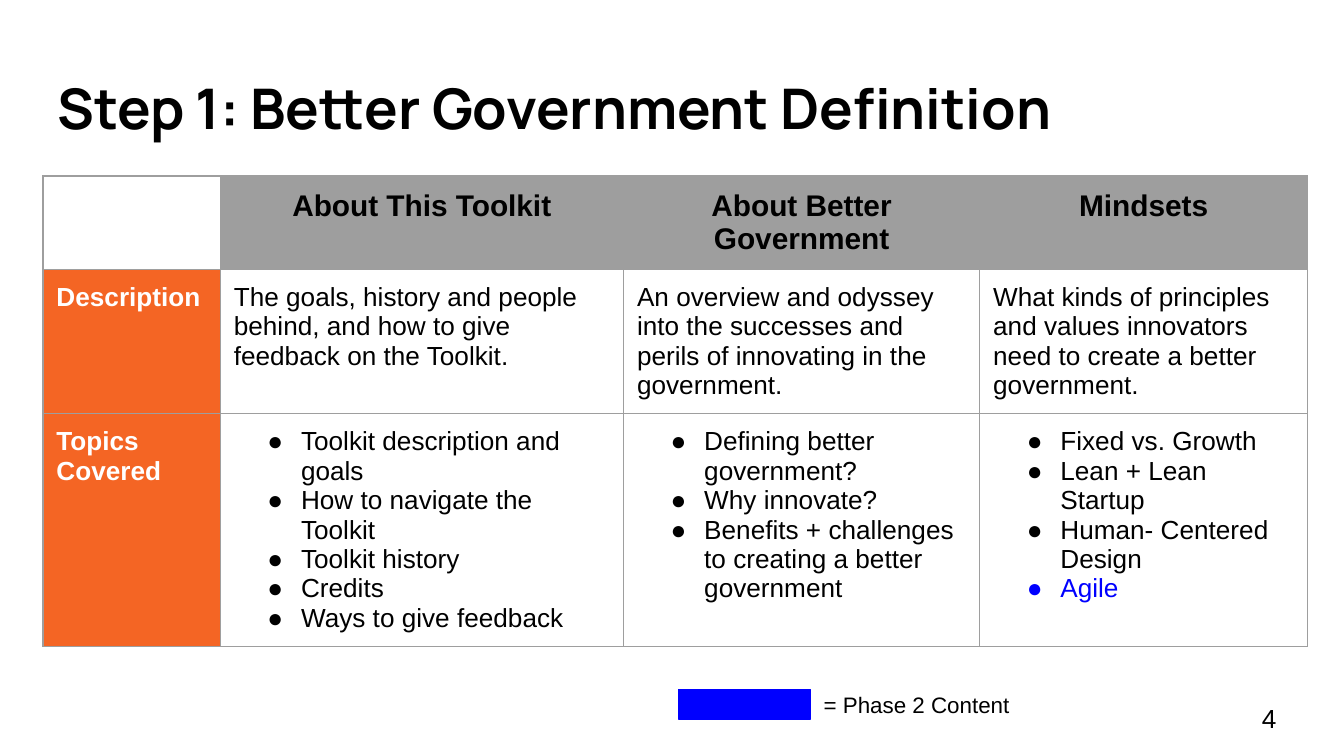
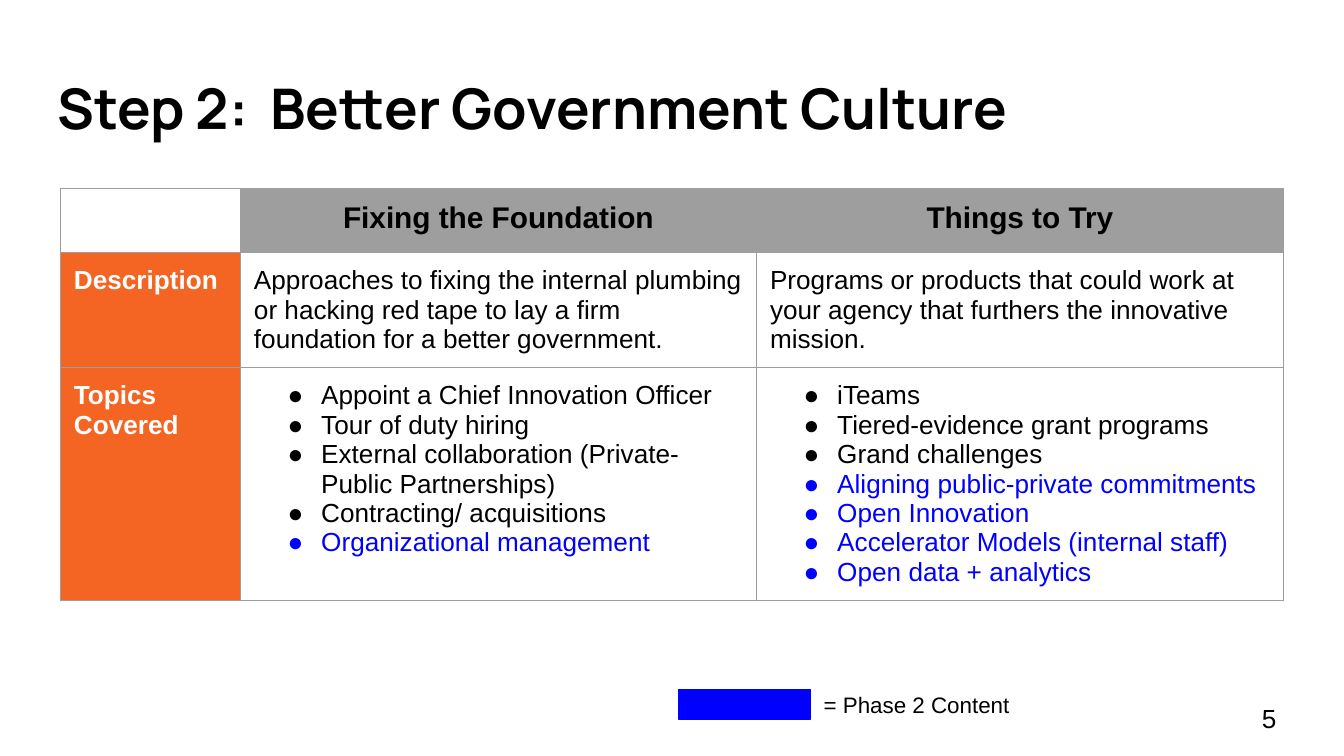
from lxml.etree import SubElement
from pptx import Presentation
from pptx.dml.color import RGBColor
from pptx.enum.shapes import MSO_SHAPE
from pptx.enum.text import MSO_ANCHOR, MSO_AUTO_SIZE, PP_ALIGN
from pptx.oxml.ns import qn
from pptx.util import Inches, Pt

COLORS = {
    "black": "000000",
    "white": "FFFFFF",
    "header": "9E9E9E",
    "border": "9E9E9E",
    "label": "F46524",
    "phase2": "0000FF",
}
TITLE = {"name": "Manrope", "size": Pt(30), "bold": True}
HEADING = {"name": "Arial", "size": Pt(16), "bold": True}
LABEL = {"name": "Arial", "size": Pt(14), "bold": True}
BODY = {"name": "Arial", "size": Pt(14), "bold": False}
LEGEND = {"name": "Arial", "size": Pt(12), "bold": False}
FRAME = {
    "word_wrap": True,
    "auto_size": MSO_AUTO_SIZE.NONE,
    "vertical_anchor": MSO_ANCHOR.TOP,
}
MARGINS = {f"margin_{side}": Inches(0.1) for side in ("left", "top", "right", "bottom")}
ROW_HEIGHTS = (0.42, 0.77, 0.42)

STEPS = [
    {
        "number": "4",
        "title": "Step 1: Better Government Definition",
        "title_box": (0.33, 0.45, 9.56, 0.7),
        "table_at": (0.32, 1.31),
        "widths": (1.32, 3, 2.65, 2.44),
        "columns": [
            (
                "About This Toolkit",
                "The goals, history and people behind, and how to give feedback on the Toolkit.",
                ["Toolkit description and goals", "How to navigate the Toolkit",
                 "Toolkit history", "Credits", "Ways to give feedback"],
                [],
            ),
            (
                "About Better Government",
                "An overview and odyssey into the successes and perils of innovating in the government.",
                ["Defining better government?", "Why innovate?",
                 "Benefits + challenges to creating a better government"],
                [],
            ),
            (
                "Mindsets",
                "What kinds of principles and values innovators need to create a better government.",
                ["Fixed vs. Growth", "Lean + Lean Startup", "Human- Centered Design"],
                ["Agile"],
            ),
        ],
    },
    {
        "number": "5",
        "title": "Step 2:  Better Government Culture",
        "title_box": (0.33, 0.45, 9.32, 0.7),
        "table_at": (0.45, 1.4),
        "widths": (1.34, 3.84, 3.92),
        "columns": [
            (
                "Fixing the Foundation",
                "Approaches to fixing the internal plumbing or hacking red tape "
                "to lay a firm foundation for a better government.",
                ["Appoint a Chief Innovation Officer", "Tour of duty hiring",
                 "External collaboration (Private-Public Partnerships)",
                 "Contracting/ acquisitions"],
                ["Organizational management"],
            ),
            (
                "Things to Try",
                "Programs or products that could work at your agency "
                "that furthers the innovative mission.",
                ["iTeams", "Tiered-evidence grant programs", "Grand challenges"],
                ["Aligning public-private commitments", "Open Innovation",
                 "Accelerator Models (internal staff)", "Open data + analytics"],
            ),
        ],
    },
]


def rgb(color):
    return RGBColor.from_string(COLORS[color])


def apply(target, values):
    for name, value in values.items():
        setattr(target, name, value)


def write(para, text, style, color="black", align=PP_ALIGN.LEFT):
    para.alignment = align
    span = para.add_run()
    span.text = text
    apply(span.font, style)
    span.font.color.rgb = rgb(color)


def add_bullet(para, color):
    props = para._p.get_or_add_pPr()
    props.set("marL", str(Inches(0.5)))
    props.set("indent", str(-Inches(0.25)))
    bullet_color = SubElement(props, qn("a:buClr"))
    SubElement(bullet_color, qn("a:srgbClr"), val=COLORS[color])
    SubElement(props, qn("a:buFont"), typeface="Arial")
    SubElement(props, qn("a:buChar"), char="●")


def format_cell(cell, fill=None):
    apply(cell, MARGINS)
    props = cell._tc.get_or_add_tcPr()
    for side in ("lnL", "lnR", "lnT", "lnB"):
        line = SubElement(props, qn(f"a:{side}"), w=str(Pt(0.75)))
        solid = SubElement(line, qn("a:solidFill"))
        SubElement(solid, qn("a:srgbClr"), val=COLORS["border"])
    if fill:
        cell.fill.solid()
        cell.fill.fore_color.rgb = rgb(fill)
    else:
        cell.fill.background()


def format_corner(cell):
    format_cell(cell)
    end = SubElement(cell.text_frame.paragraphs[0]._p, qn("a:endParaRPr"), sz="1800")
    SubElement(end, qn("a:latin"), typeface="Arial")


def write_topics(frame, topics, phase2_topics):
    entries = [(topic, "black") for topic in topics]
    entries += [(topic, "phase2") for topic in phase2_topics]
    for index, (topic, color) in enumerate(entries):
        para = frame.add_paragraph() if index else frame.paragraphs[0]
        write(para, topic, BODY, color)
        add_bullet(para, color)


def add_title(page, text, box):
    title = page.shapes.title
    apply(title, dict(zip(("left", "top", "width", "height"), map(Inches, box))))
    apply(title.text_frame, FRAME | MARGINS)
    write(title.text_frame.paragraphs[0], text, TITLE)


def add_text(shapes, text, box, style, anchor=MSO_ANCHOR.TOP):
    frame = shapes.add_textbox(*map(Inches, box)).text_frame
    apply(frame, FRAME | MARGINS | {"vertical_anchor": anchor})
    write(frame.paragraphs[0], text, style)


def add_step_table(page, at, widths, columns):
    box = (*at, sum(widths), sum(ROW_HEIGHTS))
    table = page.shapes.add_table(len(ROW_HEIGHTS), len(widths), *map(Inches, box)).table
    apply(table, {"first_row": False, "horz_banding": False})
    for column, width in zip(table.columns, widths):
        column.width = Inches(width)
    for row, height in zip(table.rows, ROW_HEIGHTS):
        row.height = Inches(height)

    format_corner(table.cell(0, 0))
    for row, label in enumerate(("Description", "Topics Covered"), start=1):
        cell = table.cell(row, 0)
        format_cell(cell, "label")
        write(cell.text_frame.paragraphs[0], label, LABEL, "white")

    for index, (heading, description, topics, phase2_topics) in enumerate(columns, start=1):
        head, about, covered = (table.cell(row, index) for row in range(3))
        format_cell(head, "header")
        format_cell(about)
        format_cell(covered)
        write(head.text_frame.paragraphs[0], heading, HEADING, align=PP_ALIGN.CENTER)
        write(about.text_frame.paragraphs[0], description, BODY)
        write_topics(covered.text_frame, topics, phase2_topics)


def add_legend(page, left, top):
    legend = page.shapes.add_group_shape()
    swatch_width = 0.98
    add_text(legend.shapes, "= Phase 2 Content",
             (left + swatch_width, top, 2.97, 0.22), LEGEND)
    swatch = legend.shapes.add_shape(
        MSO_SHAPE.RECTANGLE, *map(Inches, (left, top + 0.09, swatch_width, 0.22)))
    swatch.shadow.inherit = False
    swatch.fill.solid()
    swatch.fill.fore_color.rgb = rgb("phase2")
    swatch.line.color.rgb = rgb("phase2")
    swatch.line.width = Pt(0.75)


def add_step(deck, step):
    page = deck.slides.add_slide(deck.slide_layouts[5])
    add_title(page, step["title"], step["title_box"])
    add_step_table(page, step["table_at"], step["widths"], step["columns"])
    add_text(page.shapes, step["number"], (9.29, 5.13, 0.6, 0.43), BODY, MSO_ANCHOR.MIDDLE)
    add_legend(page, 5.05, 5.04)


def main():
    deck = Presentation()
    deck.slide_width = Inches(10)
    deck.slide_height = deck.slide_width * 9 // 16
    for step in STEPS:
        add_step(deck, step)
    deck.save("out.pptx")


if __name__ == "__main__":
    main()
